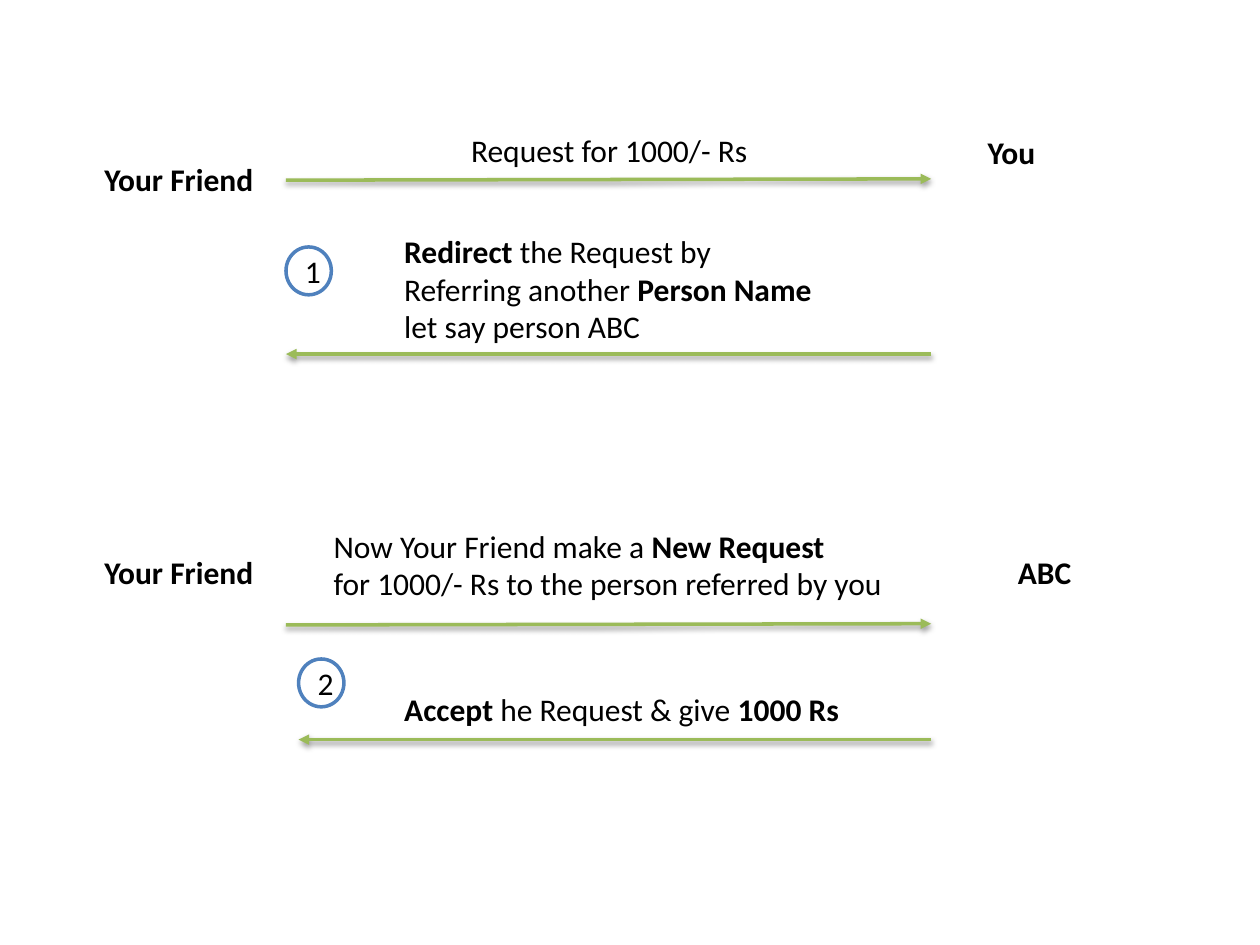
from pptx import Presentation
from pptx.dml.color import RGBColor
from pptx.enum.shapes import MSO_CONNECTOR, MSO_SHAPE
from pptx.enum.text import MSO_ANCHOR, MSO_AUTO_SIZE, PP_ALIGN
from pptx.oxml.ns import qn
from pptx.util import Inches, Pt
from lxml.etree import SubElement

BLACK = RGBColor(0x00, 0x00, 0x00)
GREEN = RGBColor(0x9B, 0xBB, 0x59)
BLUE = RGBColor(0x4F, 0x81, 0xBD)

# Each line of a label is a list of (words, bold) runs.
# left, top, width, height, wraps, lines
LABELS = [
    (0.73, 1.22, 1.39, 0.4, False, [[("Your Friend", True)]]),
    (7.74, 1.01, 0.58, 0.4, False, [[("You", True)]]),
    (3.64, 0.99, 2.42, 0.4, False, [[("Request for 1000/- Rs", False)]]),
    (3.11, 1.79, 3.53, 1.01, False, [
        [("Redirect", True), (" the Request by", False)],
        [("Referring another ", False), ("Person Name", True)],
        [("let say person ABC", False)],
    ]),
    (0.73, 4.34, 1.39, 0.4, False, [[("Your Friend", True)]]),
    (7.98, 4.34, 0.63, 0.4, False, [[("ABC", True)]]),
    (2.55, 4.13, 4.61, 0.71, False, [
        [("Now Your Friend make a ", False), ("New Request", True)],
        [("for 1000/- Rs to the person referred by you", False)],
    ]),
    (3.11, 5.43, 3.71, 0.4, True, [
        [("Accept", True), (" he Request & give ", False), ("1000 Rs", True)],
    ]),
]

FRIEND_X, REPLIER_X, ACCEPT_X = 2.27, 7.39, 2.37
# start x, start y, end x, end y
ARROWS = [
    (FRIEND_X, 1.43, REPLIER_X, 1.42),
    (REPLIER_X, 2.81, FRIEND_X, 2.81),
    (FRIEND_X, 4.96, REPLIER_X, 4.95),
    (REPLIER_X, 5.87, ACCEPT_X, 5.87),
]

# number, left, top
STEPS = [("1", FRIEND_X, 1.96), ("2", ACCEPT_X, 5.23)]
STEP_WIDTH, STEP_HEIGHT = 0.36, 0.38


def format_font(font, bold=False):
    font.name = "Calibri"
    font.size = Pt(18)
    font.bold = bold
    font.color.rgb = BLACK


def add_label(slide, left, top, width, height, wraps, lines):
    box = slide.shapes.add_textbox(*map(Inches, (left, top, width, height)))
    frame = box.text_frame
    frame.word_wrap = wraps
    frame.auto_size = MSO_AUTO_SIZE.SHAPE_TO_FIT_TEXT
    for index, line in enumerate(lines):
        paragraph = frame.add_paragraph() if index else frame.paragraphs[0]
        for words, bold in line:
            run = paragraph.add_run()
            run.text = words
            format_font(run.font, bold)


def add_arrow(slide, *ends):
    """Draw an arrow that keeps the theme's soft connector shadow."""
    arrow = slide.shapes.add_connector(MSO_CONNECTOR.STRAIGHT, *map(Inches, ends))
    arrow.line.color.rgb = GREEN
    arrow.line.width = Pt(2)
    outline = arrow.line._get_or_add_ln()
    SubElement(outline, qn("a:tailEnd"), type="triangle")


def add_step(slide, number, left, top):
    circle = slide.shapes.add_shape(
        MSO_SHAPE.FLOWCHART_CONNECTOR,
        *map(Inches, (left, top, STEP_WIDTH, STEP_HEIGHT)))
    circle.shadow.inherit = False
    circle.fill.background()
    circle.line.color.rgb = BLUE
    circle.line.width = Pt(2)
    frame = circle.text_frame
    frame.text = number
    frame.vertical_anchor = MSO_ANCHOR.MIDDLE
    paragraph = frame.paragraphs[0]
    paragraph.alignment = PP_ALIGN.CENTER
    format_font(paragraph.runs[0].font)


def main():
    deck = Presentation()
    deck.slide_width, deck.slide_height = Inches(10), Inches(7.5)
    slide = deck.slides.add_slide(deck.slide_layouts[6])
    for arrow in ARROWS:
        add_arrow(slide, *arrow)
    for label in LABELS:
        add_label(slide, *label)
    for step in STEPS:
        add_step(slide, *step)
    deck.save("out.pptx")


if __name__ == "__main__":
    main()
